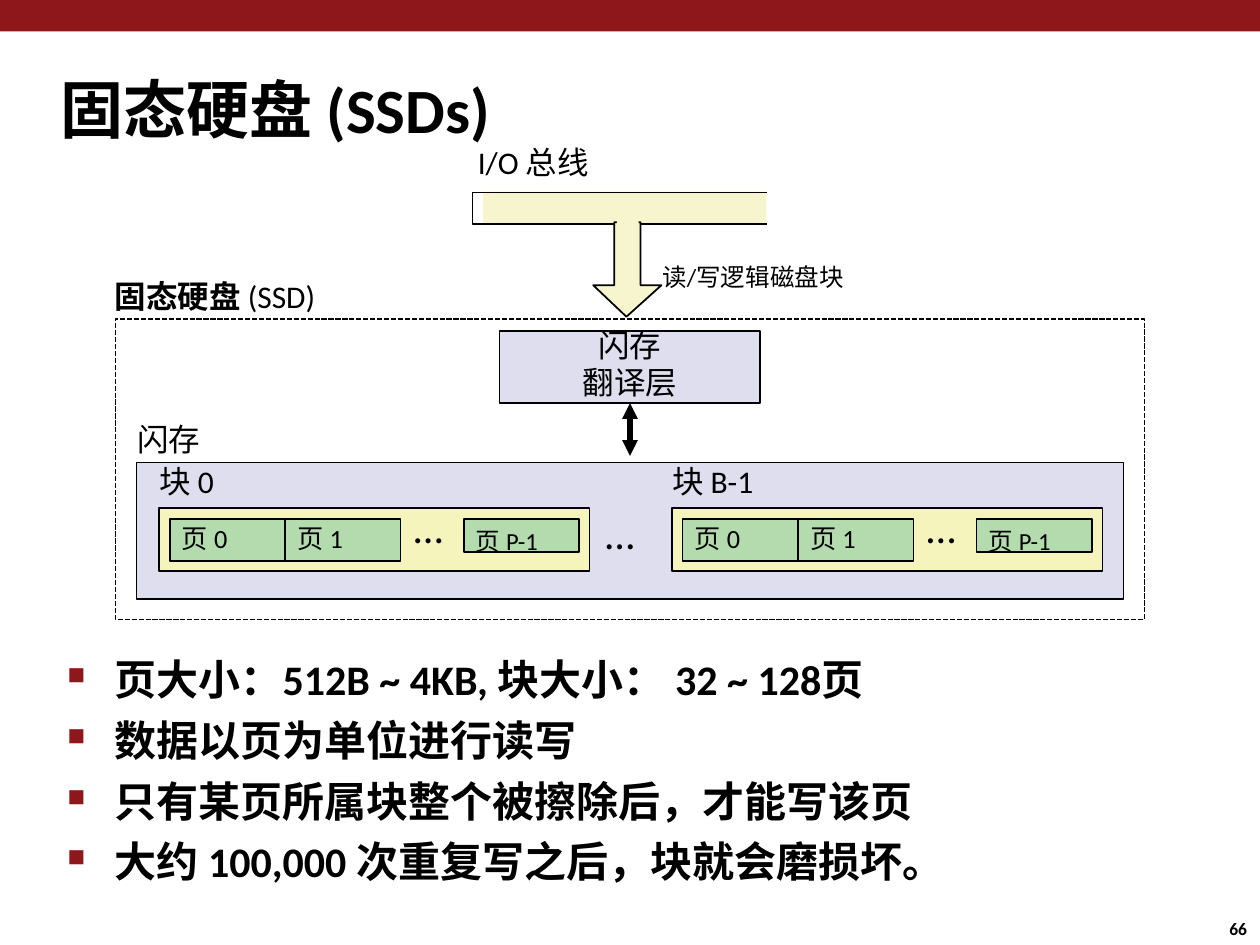
import lxml.etree
import pptx
import pptx.dml.color
import pptx.enum.dml
import pptx.enum.shapes
import pptx.enum.text
import pptx.oxml.ns
import pptx.util

Pt = pptx.util.Pt
qn = pptx.oxml.ns.qn
COLORS = {
    "ink": "000000",
    "band": "8D171A",
    "lavender": "DEDEEF",
    "cream": "F7F5CD",
    "block": "F6F4BD",
    "page": "B3DBAE",
}


def write(para, text, size=18, bold=False, align=None, line=None, before=None):
    span = para.add_run()
    span.text = text
    span.font.name = "Calibri"
    span.font.size = Pt(size)
    span.font.bold = bold
    span.font.color.rgb = pptx.dml.color.RGBColor.from_string(COLORS["ink"])
    if align is not None:
        para.alignment = align
    if line is not None:
        para.line_spacing = Pt(line)
    if before is not None:
        para.space_before = Pt(before)


def style(shape, fill=None, outline=True):
    shape.shadow.inherit = False
    if fill:
        shape.fill.solid()
        shape.fill.fore_color.rgb = pptx.dml.color.RGBColor.from_string(COLORS[fill])
    else:
        shape.fill.background()
    if outline:
        shape.line.color.rgb = pptx.dml.color.RGBColor.from_string(COLORS["ink"])
        shape.line.width = Pt(1)
    else:
        shape.line.fill.background()
    frame = shape.text_frame
    frame.margin_left = frame.margin_top = frame.margin_right = frame.margin_bottom = 0
    frame.vertical_anchor = pptx.enum.text.MSO_ANCHOR.TOP
    return shape


deck = pptx.Presentation()
deck.slide_width = Pt(720)
deck.slide_height = Pt(540)
page = deck.slides.add_slide(deck.slide_layouts[6])
shapes = page.shapes
RECT = pptx.enum.shapes.MSO_SHAPE.RECTANGLE
LEFT = pptx.enum.text.PP_ALIGN.LEFT
CENTER = pptx.enum.text.PP_ALIGN.CENTER

band = shapes.add_shape(RECT, 0, 0, Pt(720), Pt(18))
style(band, "band", outline=False)
flash = shapes.add_shape(RECT, Pt(78), Pt(264.3), Pt(564), Pt(78))
style(flash, "lavender")
drive = shapes.add_shape(RECT, Pt(66), Pt(182.3), Pt(588), Pt(171.7))
style(drive)
drive.line.dash_style = pptx.enum.dml.MSO_LINE.SQUARE_DOT

bus_fill = shapes.add_shape(RECT, Pt(276), Pt(109.5), Pt(162), Pt(18.7))
style(bus_fill, "cream", outline=False)
outlines = [
    ([(438, 109.5), (270, 109.5), (270, 128.2), (438, 128.2)], False, None),
    ([(339, 163), (358.5, 181), (378, 163), (366, 163),
      (366, 127), (351, 127), (351, 163)], True, "cream"),
]
for points, closed, fill in outlines:
    builder = shapes.build_freeform(*points[0], scale=Pt(1))
    builder.add_line_segments(points[1:], close=closed)
    style(builder.convert_to_shape(), fill)
joint = shapes.add_shape(RECT, Pt(352.5), Pt(121.5), Pt(12.5), Pt(12))
style(joint, "cream", outline=False)

translator = shapes.add_shape(RECT, Pt(285.5), Pt(189.3), Pt(149), Pt(41))
frame = style(translator, "lavender").text_frame
write(frame.paragraphs[0], "闪存", align=CENTER, line=18.8)
write(frame.add_paragraph(), "翻译层", align=CENTER, line=21.2)

link = shapes.add_connector(
    pptx.enum.shapes.MSO_CONNECTOR.STRAIGHT, Pt(360), Pt(230.3), Pt(360), Pt(260.5))
link.begin_connect(translator, 2)
link.line.color.rgb = pptx.dml.color.RGBColor.from_string(COLORS["ink"])
link.line.width = Pt(3)
line_xml = link.line._get_or_add_ln()
for end in ("a:headEnd", "a:tailEnd"):
    lxml.etree.SubElement(line_xml, qn(end), type="triangle")
lxml.etree.SubElement(link._element.spPr, qn("a:effectLst"))

labels = [
    (34.5, 40.3, 349, 44, 36, [("固态硬盘 (SSDs)", True)]),
    (273, 81.5, 73, 27, 18, [("I/O 总线", False)]),
    (65.5, 158.5, 157, 22, 18, [("固态硬盘 ", True), ("(SSD)", False)]),
    (378.5, 150, 151, 17, 14, [("读/写逻辑磁盘块", False)]),
    (78.5, 240, 52, 22, 18, [("闪存", False)]),
    (346, 290, 19, 31, 24, [("…", False)]),
    (702.5, 524.8, 14, 12, 10, [("66", True)]),
]

for left, name in [(91, "块 0"), (384, "块 B-1")]:
    block = shapes.add_shape(RECT, Pt(left), Pt(290.2), Pt(246), Pt(36))
    style(block, "block")
    for offset, height, size, inset, text in [
        (6, 24, 15, 2, "页 0"),
        (72, 24, 15, 2, "页 1"),
        (174, 19, 14, 4, "页 P-1"),
    ]:
        cell = shapes.add_shape(RECT, Pt(left + offset), Pt(296.6), Pt(66), Pt(height))
        frame = style(cell, "page").text_frame
        frame.margin_left = Pt(7)
        frame.margin_top = Pt(inset)
        write(frame.paragraphs[0], text, size=size, align=LEFT)
    labels.append((left, 264.3, 74, 22, 18, [(name, False)]))
    labels.append((left + 145.5, 286.6, 17, 30, 24, [("…", False)]))

for left, top, width, height, size, spans in labels:
    box = style(shapes.add_textbox(Pt(left), Pt(top), Pt(width), Pt(height)), outline=False)
    box.text_frame.word_wrap = False
    for text, bold in spans:
        write(box.text_frame.paragraphs[0], text, size=size, bold=bold, align=LEFT)

body = shapes.add_textbox(Pt(37.5), Pt(373.7), Pt(585), Pt(135))
frame = style(body, outline=False).text_frame
frame.word_wrap = True
facts = [
    "页大小：512B ~ 4KB, 块大小： 32 ~ 128页",
    "数据以页为单位进行读写",
    "只有某页所属块整个被擦除后，才能写该页",
    "大约 100,000 次重复写之后，块就会磨损坏。",
]
for index, fact in enumerate(facts):
    para = frame.add_paragraph() if index else frame.paragraphs[0]
    write(para, fact, size=24, bold=True, before=5.8 if index else 0)
    props = para._p.get_or_add_pPr()
    props.set("marL", str(Pt(28)))
    props.set("indent", str(-Pt(27)))
    tint = lxml.etree.SubElement(props, qn("a:buClr"))
    lxml.etree.SubElement(tint, qn("a:srgbClr"), val=COLORS["band"])
    lxml.etree.SubElement(props, qn("a:buSzPct"), val="58000")
    lxml.etree.SubElement(props, qn("a:buChar"), char="■")

deck.save("out.pptx")
